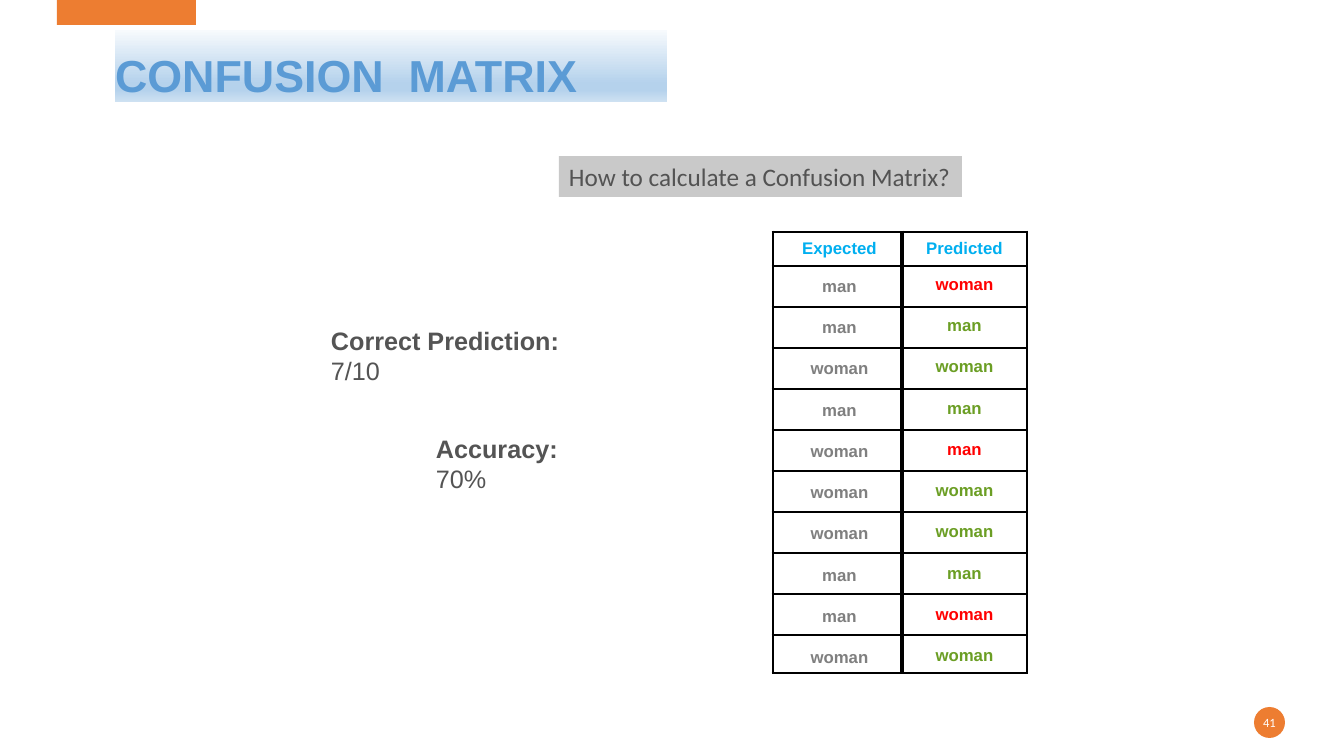
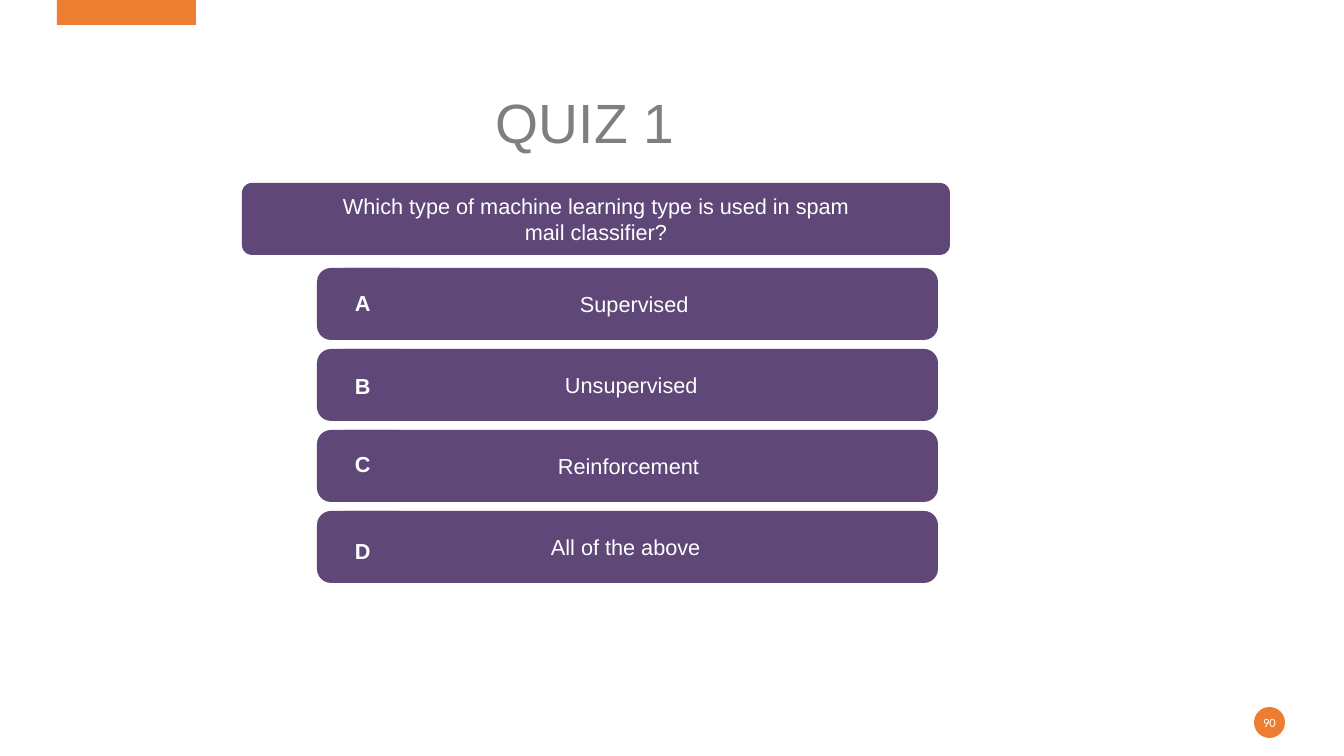
from lxml.etree import SubElement
from pptx import Presentation
from pptx.dml.color import RGBColor
from pptx.enum.shapes import MSO_SHAPE
from pptx.enum.text import MSO_ANCHOR, MSO_AUTO_SIZE, PP_ALIGN
from pptx.oxml.ns import qn
from pptx.util import Pt

EMU_PER_PX = 914400 / 100.8
COLORS = {
    "accent": "ED7D31", "white": "FFFFFF", "title": "5B9BD5", "gray": "7F7F7F",
    "text": "545454", "prompt_text": "535353", "prompt_fill": "C9C9C9", "quiz": "5F4778",
    "header": "00AFF0", "wrong": "FF0000", "right": "6B9E24", "border": "000000",
}
TITLE_GRADIENT = [(0, "F7FAFD"), (74, "B5D2EC"), (83, "B5D2EC"), (100, "CEE1F2")]

RESULTS = [
    ("man", "woman"), ("man", "man"), ("woman", "woman"), ("man", "man"),
    ("woman", "man"), ("woman", "woman"), ("woman", "woman"), ("man", "man"),
    ("man", "woman"), ("woman", "woman"),
]
# Letter, its offset in the row, answer, its offset and width
ANSWERS = [
    ("A", 20, "Supervised", 262, 150),
    ("B", 22, "Unsupervised", 247, 180),
    ("C", 19, "Reinforcement", 240, 192),
    ("D", 25, "All of the above", 233, 206),
]


def px(length):
    return round(length * EMU_PER_PX)


def color(name):
    return RGBColor.from_string(COLORS[name])


def set_margins(target, left=0, top=0, right=0, bottom=0):
    target.margin_left, target.margin_top = px(left), px(top)
    target.margin_right, target.margin_bottom = px(right), px(bottom)


def write(text_frame, text, size, color_name, font="Arial", bold=False, align=PP_ALIGN.LEFT):
    text_frame.text = text
    for paragraph in text_frame.paragraphs:
        paragraph.alignment = align
        for run in paragraph.runs:
            run.font.name, run.font.size, run.font.bold = font, Pt(size), bold
            run.font.color.rgb = color(color_name)


def add_block(slide, kind, box, fill, radius=0):
    shape = slide.shapes.add_shape(kind, *map(px, box))
    shape.shadow.inherit = False
    shape.fill.solid()
    shape.fill.fore_color.rgb = color(fill)
    shape.line.fill.background()
    if radius:
        shape.adjustments[0] = radius / box[3]
    shape.text_frame.word_wrap = True
    shape.text_frame.vertical_anchor = MSO_ANCHOR.MIDDLE
    set_margins(shape.text_frame)
    return shape


def add_text(slide, box, text, size, color_name, margins=(0, 2, 0, 0), **style):
    text_frame = slide.shapes.add_textbox(*map(px, box)).text_frame
    text_frame.word_wrap = True
    set_margins(text_frame, *margins)
    write(text_frame, text, size, color_name, **style)
    return text_frame


def add_base_slide(presentation, title, box, size, color_name, number, bold=False):
    """Title, top tab and page number."""
    slide = presentation.slides.add_slide(presentation.slide_layouts[5])
    add_block(slide, MSO_SHAPE.RECTANGLE, (57, 0, 139, 25), "accent")
    badge = add_block(slide, MSO_SHAPE.OVAL, (1254, 707, 31, 31), "accent")
    badge.text_frame.word_wrap = False
    write(badge.text_frame, number, 9, "white", font="Calibri", align=PP_ALIGN.CENTER)

    shape = slide.shapes.title
    shape.left, shape.top, shape.width, shape.height = map(px, box)
    text_frame = shape.text_frame
    text_frame.auto_size = MSO_AUTO_SIZE.NONE
    text_frame.word_wrap = True
    text_frame.vertical_anchor = MSO_ANCHOR.BOTTOM
    set_margins(text_frame, left=1 if not bold else 0)
    write(text_frame, title, size, color_name, bold=bold)
    return slide


def fill_title(shape):
    shape.fill.gradient()
    shape.fill.gradient_angle = 270
    stops = shape.fill._fill._gradFill.find(qn("a:gsLst"))
    for stop in list(stops):
        stops.remove(stop)
    for position, value in TITLE_GRADIENT:
        stop = SubElement(stops, qn("a:gs"), pos=str(position * 1000))
        SubElement(stop, qn("a:srgbClr"), val=value)


def set_borders(cell, widths):
    properties = cell._tc.get_or_add_tcPr()
    for index, (side, width) in enumerate(widths.items()):
        line = properties.makeelement(qn(f"a:ln{side}"), {"w": str(Pt(width))})
        fill = SubElement(line, qn("a:solidFill"))
        SubElement(fill, qn("a:srgbClr"), val=COLORS["border"])
        properties.insert(index, line)


def add_results_table(slide, box):
    rows = [("Expected", "Predicted")] + RESULTS
    table = slide.shapes.add_table(len(rows), 2, *map(px, box)).table
    table.first_row = table.horz_banding = False
    table.columns[0].width, table.columns[1].width = px(129), px(box[2] - 129)
    heights = [34] + [41] * 9 + [38]
    for row_index, values in enumerate(rows):
        table.rows[row_index].height = px(heights[row_index])
        for column_index, value in enumerate(values):
            cell = table.cell(row_index, column_index)
            cell.fill.background()
            cell.vertical_anchor = MSO_ANCHOR.TOP
            if row_index == 0:
                name, top = "header", 7
            else:
                verdict = "right" if values[0] == values[1] else "wrong"
                name = verdict if column_index else "gray"
                top = 11 - 2 * column_index + row_index // 4
            set_margins(cell, left=0 if column_index else 4, top=top)
            write(cell.text_frame, value, 12, name, bold=True, align=PP_ALIGN.CENTER)
            set_borders(cell, {"L": 3 if column_index else 2.25,
                               "R": 2.25 if column_index else 3, "T": 2.25, "B": 2.25})


def add_metric(slide, box, label, value):
    text_frame = add_text(slide, box, f"{label}\v{value}", 18, "text",
                          margins=(11, 5, 10, 5), bold=True)
    text_frame.paragraphs[0].runs[-1].font.bold = False


def add_answers(slide, box):
    left, top, width, height = box
    pitch = height + 9
    for index, (letter, letter_top, answer, answer_left, answer_width) in enumerate(ANSWERS):
        row_top = top + index * pitch
        # Bar with its letter tab
        for part_left, part_width in ((left, 96), (left + 14, width - 14)):
            add_block(slide, MSO_SHAPE.ROUNDED_RECTANGLE,
                      (part_left, row_top, part_width, height), "quiz", radius=14)
        add_text(slide, (left + answer_left, row_top + 21, answer_width, 29),
                 answer, 15.5, "white", margins=(1, 2, 0, 0))
        add_text(slide, (left + 37, row_top + letter_top, 25, 29),
                 letter, 15.5, "white", margins=(1, 2, 0, 0), bold=True)


def build_matrix_slide(presentation):
    slide = add_base_slide(presentation, "CONFUSION  MATRIX", (115, 30, 552, 72),
                           32, "title", "41", bold=True)
    fill_title(slide.shapes.title)
    slide.shapes.title.text_frame.paragraphs[0].line_spacing = Pt(43.6)
    # Prompt
    prompt = add_block(slide, MSO_SHAPE.RECTANGLE, (559, 156, 403, 41), "prompt_fill")
    set_margins(prompt.text_frame, left=10, top=5, bottom=5)
    write(prompt.text_frame, "How to calculate a Confusion Matrix?", 18,
          "prompt_text", font="Calibri")
    # Metrics and table
    add_metric(slide, (320, 320, 308, 70), "Correct Prediction:", "7/10")
    add_metric(slide, (425, 428, 204, 70), "Accuracy:", "70%")
    add_results_table(slide, (773, 232, 254, 441))


def build_quiz_slide(presentation):
    slide = add_base_slide(presentation, "QUIZ 1", (495, 85, 217, 70), 39.5, "gray", "90")
    question = add_block(slide, MSO_SHAPE.ROUNDED_RECTANGLE, (242, 183, 708, 72),
                         "quiz", radius=10)
    write(question.text_frame,
          "Which type of machine learning type is used in spam\nmail classifier?",
          15.5, "white", align=PP_ALIGN.CENTER)
    add_answers(slide, (317, 268, 621, 72))


def main():
    presentation = Presentation()
    presentation.slide_width, presentation.slide_height = px(1344), px(756)
    build_matrix_slide(presentation)
    build_quiz_slide(presentation)
    presentation.save("out.pptx")


if __name__ == "__main__":
    main()
